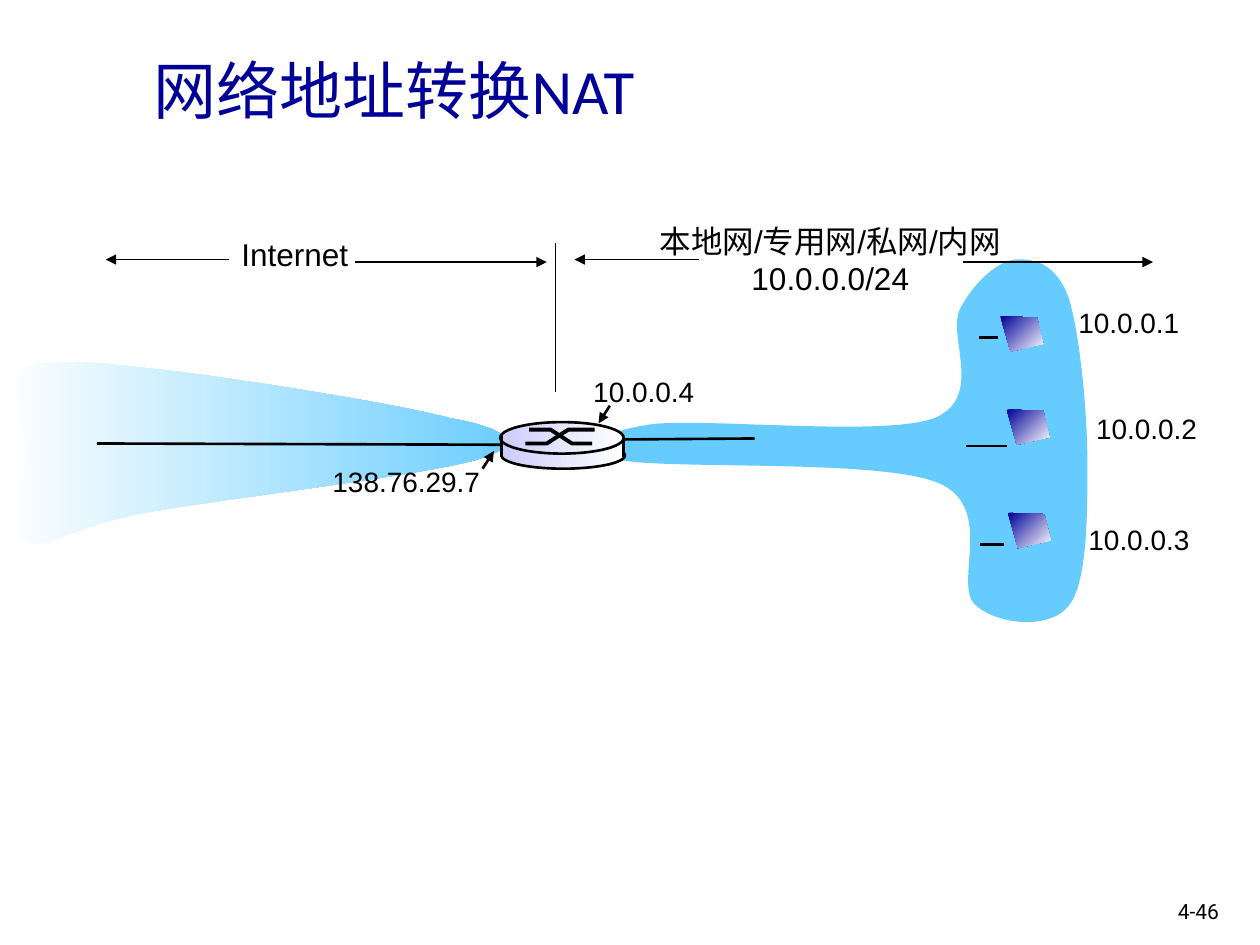
from dataclasses import dataclass

from lxml import etree
from pptx import Presentation
from pptx import util as u
from pptx.dml.color import RGBColor
from pptx.enum import shapes, text
from pptx.oxml.ns import qn


@dataclass(frozen=True)
class Theme:
    ink: str = "000000"
    navy: str = "000099"
    sky: str = "66CCFF"
    lilac: str = "CCCCFF"
    white: str = "FFFFFF"
    title_font: str = "Calibri"
    body_font: str = "Arial"
    number_font: str = "Roboto"
    title_size: int = 36
    label_size: int = 18
    address_size: int = 16
    number_size: int = 12
    thin: float = 0.75
    medium: float = 1.5
    thick: float = 2.25


THEME = Theme()


class Diagram:
    def __init__(self, canvas, theme):
        """canvas is the shape collection of a slide or of a group."""
        self.canvas = canvas
        self.theme = theme

    def group(self):
        return Diagram(self.canvas.add_group_shape().shapes, self.theme)

    def _style(self, shape, fill=None, angle=0, line=None):
        """fill is one colour, a (from, to) pair for a gradient, or None."""
        shape.shadow.inherit = False
        if fill is None:
            shape.fill.background()
        elif isinstance(fill, str):
            shape.fill.solid()
            shape.fill.fore_color.rgb = RGBColor.from_string(fill)
        else:
            shape.fill.gradient()
            shape.fill.gradient_angle = angle
            for stop, colour in zip(shape.fill.gradient_stops, fill):
                stop.color.rgb = RGBColor.from_string(colour)
        if line:
            self._stroke(shape, line)
        else:
            shape.line.fill.background()

    def _stroke(self, shape, width):
        shape.line.color.rgb = RGBColor.from_string(self.theme.ink)
        shape.line.width = u.Pt(width)

    def label(self, box, lines, size, font=None, colour=None, align=text.PP_ALIGN.LEFT,
              anchor=text.MSO_ANCHOR.TOP, wrap=False):
        frame = self.canvas.add_textbox(*map(u.Inches, box)).text_frame
        frame.word_wrap = wrap
        frame.vertical_anchor = anchor
        for index, line in enumerate(lines):
            paragraph = frame.add_paragraph() if index else frame.paragraphs[0]
            paragraph.alignment = align
            run = paragraph.add_run()
            run.text = line
            run.font.size = u.Pt(size)
            run.font.name = font or self.theme.body_font
            run.font.color.rgb = RGBColor.from_string(colour or self.theme.ink)

    def line(self, start, end, width, arrow=False):
        connector = self.canvas.add_connector(
            shapes.MSO_CONNECTOR.STRAIGHT, *map(u.Inches, (*start, *end)))
        self._stroke(connector, width)
        properties = connector._element.spPr
        if arrow:
            etree.SubElement(properties.find(qn("a:ln")), qn("a:tailEnd"), type="triangle")
        etree.SubElement(properties, qn("a:effectLst"))

    def preset(self, kind, box, fill, line=None):
        shape = self.canvas.add_shape(kind, *map(u.Inches, box))
        self._style(shape, fill, line=line)

    def outline(self, points, fill=None, angle=0, line=None, close=True):
        start, *rest = [tuple(map(u.Inches, point)) for point in points]
        builder = self.canvas.build_freeform(*start)
        builder.add_line_segments(rest, close=close)
        shape = builder.convert_to_shape()
        self._style(shape, fill, angle, line)
        return shape

    def cloud(self, start, segments, fill):
        """Closed Bezier outline; each segment is two controls and an end."""
        points = [start, *(point for segment in segments for point in segment)]
        shape = self.outline(points, fill)
        steps = list(shape._element.iter(qn("a:lnTo")))[:len(points) - 1]
        for first in range(0, len(steps), 3):
            curve = etree.Element(qn("a:cubicBezTo"))
            steps[first].addprevious(curve)
            for step in steps[first:first + 3]:
                curve.append(step[0])
                step.getparent().remove(step)


def draw_clouds(diagram):
    diagram.cloud((5.15, 3.37), [
        ((5.56, 3.31), (7, 3.47), (7.41, 3.32)),
        ((7.82, 3.16), (7.51, 2.66), (7.62, 2.45)),
        ((7.73, 2.24), (7.92, 2.07), (8.06, 2.06)),
        ((8.21, 2.05), (8.38, 2.09), (8.48, 2.36)),
        ((8.57, 2.64), (8.63, 3.27), (8.63, 3.68)),
        ((8.63, 4.09), (8.63, 4.63), (8.48, 4.81)),
        ((8.33, 5), (7.91, 4.96), (7.74, 4.8)),
        ((7.56, 4.64), (7.91, 4.02), (7.44, 3.83)),
        ((6.97, 3.64), (5.31, 3.73), (4.92, 3.65)),
        ((4.54, 3.57), (4.76, 3.43), (5.15, 3.37)),
    ], THEME.sky)
    diagram.label((1.12, 0.21, 8.85, 0.99), ["网络地址转换NAT"], THEME.title_size,
                  THEME.title_font, THEME.navy, anchor=text.MSO_ANCHOR.MIDDLE, wrap=True)
    diagram.cloud((3.57, 3.32), [
        ((3.17, 3.21), (1.97, 3.02), (1.41, 2.95)),
        ((0.85, 2.89), (0.4, 2.82), (0.2, 2.93)),
        ((0, 3.03), (0.21, 3.34), (0.21, 3.57)),
        ((0.21, 3.8), (0.04, 4.21), (0.2, 4.3)),
        ((0.36, 4.38), (0.55, 4.18), (1.15, 4.07)),
        ((1.75, 3.96), (3.4, 3.77), (3.81, 3.64)),
        ((4.21, 3.52), (3.98, 3.39), (3.57, 3.32)),
    ], (THEME.white, THEME.sky))


def draw_router(diagram):
    body = (THEME.lilac, THEME.white)
    oval, block = shapes.MSO_SHAPE.OVAL, shapes.MSO_SHAPE.RECTANGLE
    diagram.preset(oval, (3.98, 3.51, 0.98, 0.21), body, THEME.medium)
    diagram.preset(block, (3.98, 3.49, 0.98, 0.13), body)
    diagram.preset(oval, (3.97, 3.35, 0.98, 0.25), body, THEME.medium)
    high, low = 3.41, 3.52
    for xs, first, last in (((4.17, 4.34, 4.51, 4.72), low, high),
                            ((4.2, 4.37, 4.54, 4.7), high, low)):
        diagram.outline(list(zip(xs, (first, first, last, last))),
                        line=THEME.thick, close=False)
    for x, top in ((3.98, 3.46), (4.95, 3.47)):
        diagram.line((x, top), (x, 3.63), THEME.medium)


def draw_computer(diagram, x, y):
    corners = ((0, 0), (0.29, 0.01), (0.34, 0.22), (0.08, 0.28))
    diagram.outline([(x + dx, y + dy) for dx, dy in corners],
                    (THEME.navy, THEME.white), angle=315)


def main():
    deck = Presentation()
    deck.slide_width, deck.slide_height = u.Inches(10), u.Inches(7.5)
    slide = deck.slides.add_slide(deck.slide_layouts[6])
    diagram = Diagram(slide.shapes, THEME)
    centre = text.PP_ALIGN.CENTER

    draw_clouds(diagram)
    cables = [((4.67, 3.49), (5.99, 3.48)), ((7.99, 3.54), (7.67, 3.54)),
              ((7.77, 2.68), (7.92, 2.68)), ((7.78, 4.32), (7.97, 4.32)),
              ((0.77, 3.52), (4.08, 3.53))]
    for start, end in cables:
        diagram.line(start, end, THEME.medium)

    addresses = [("10.0.0.1", 8.46, 2.38, 1.01), ("10.0.0.2", 8.6, 3.22, 1.01),
                 ("10.0.0.3", 8.54, 4.1, 1.01), ("10.0.0.4", 4.61, 2.92, 1.01),
                 ("138.76.29.7", 2.54, 3.64, 1.38)]
    for address, x, y, width in addresses:
        diagram.label((x, y, width, 0.37), [address], THEME.address_size)
    for start, end in (((4.84, 3.22), (4.75, 3.36)), ((3.83, 3.72), (3.92, 3.58))):
        diagram.line(start, end, THEME.medium, arrow=True)

    diagram.label((5.12, 1.71, 2.94, 0.71), ["本地网/专用网/私网/内网", "10.0.0.0/24"],
                  THEME.label_size, align=centre, wrap=True)
    diagram.line((4.41, 1.93), (4.41, 3.11), THEME.thin)
    for x_from, x_to, y in ((7.64, 9.15, 2.08), (5.55, 4.56, 2.06),
                            (2.82, 4.34, 2.08), (1.82, 0.84, 2.06)):
        diagram.line((x_from, y), (x_to, y), THEME.thin, arrow=True)
    diagram.label((1.81, 1.82, 1.06, 0.4), ["Internet"], THEME.label_size, align=centre)

    draw_router(diagram.group())
    for x, y in ((7.94, 2.51), (7.99, 3.25), (8, 4.07)):
        draw_computer(diagram.group(), x, y)
    diagram.label((9.25, 7.08, 0.61, 0.3), ["4-46"], THEME.number_size,
                  THEME.number_font, wrap=True)
    deck.save("out.pptx")


if __name__ == "__main__":
    main()
